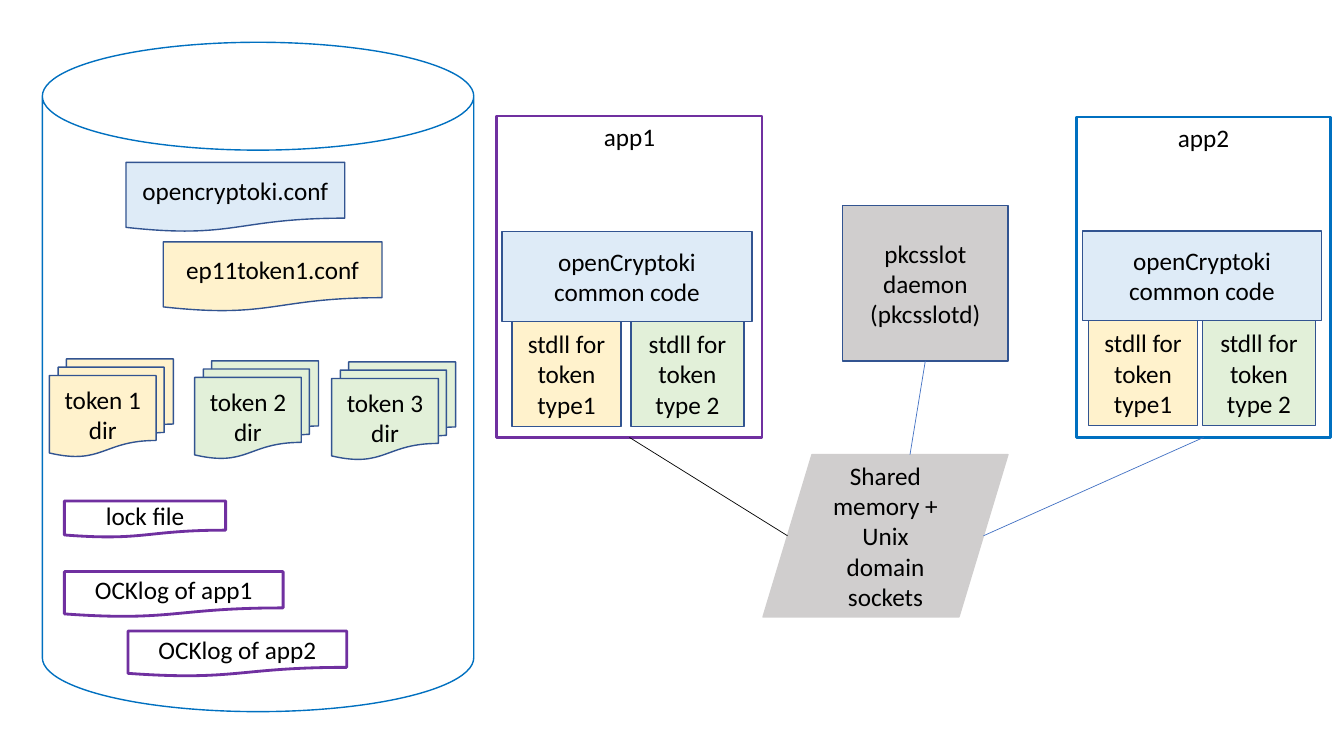
from lxml import etree
from pptx import Presentation
from pptx.dml.color import RGBColor
from pptx.enum.shapes import MSO_CONNECTOR, MSO_SHAPE
from pptx.enum.text import MSO_ANCHOR, PP_ALIGN
from pptx.oxml.ns import qn
from pptx.util import Pt

RECT = MSO_SHAPE.RECTANGLE
CAN = MSO_SHAPE.CAN
DOCUMENT = MSO_SHAPE.FLOWCHART_DOCUMENT
MULTIDOC = MSO_SHAPE.FLOWCHART_MULTIDOCUMENT
DATA = MSO_SHAPE.FLOWCHART_DATA
STRAIGHT = MSO_CONNECTOR.STRAIGHT
TOP, MIDDLE = MSO_ANCHOR.TOP, MSO_ANCHOR.MIDDLE
CENTER = PP_ALIGN.CENTER
BOTTOM_SITE = 2

BLACK = RGBColor(0x00, 0x00, 0x00)
WHITE = RGBColor(0xFF, 0xFF, 0xFF)
PURPLE = RGBColor(0x70, 0x30, 0xA0)
BLUE = RGBColor(0x00, 0x70, 0xC0)
NAVY = RGBColor(0x32, 0x54, 0x91)
LINK_BLUE = RGBColor(0x44, 0x72, 0xC4)
PALE_BLUE = RGBColor(0xDE, 0xEB, 0xF7)
YELLOW = RGBColor(0xFF, 0xF2, 0xCC)
GREEN = RGBColor(0xE2, 0xF0, 0xD9)
GRAY = RGBColor(0xD0, 0xCE, 0xCE)

# Content: places are (left, top, width, height) in points
DISK = (30.24, 30.24, 308.16, 478.08)
CONFIG_FILES = [
    ("opencryptoki.conf", 90, 116, PALE_BLUE),
    ("ep11token1.conf", 116.64, 172.8, YELLOW),
]
TOKEN_DIRS = [
    ("token 1 dir", 35.28, 256.4, YELLOW),
    ("token 2 dir", 139, 257.76, GREEN),
    ("token 3 dir", 236.88, 258.48, GREEN),
]
LOG_FILES = [
    ("lock file", (46, 357.84, 115.2, 26)),
    ("OCKlog of app1", (46, 408.24, 156.24, 32.4)),
    ("OCKlog of app2", (91.44, 450.72, 156.24, 32.4)),
]
# Each app: name, frame, frame colour, common code, lefts of the two stdlls
APPS = [
    ("app1", (354.96, 82.8, 189.36, 229.68), PURPLE,
     (358.56, 165.6, 178.56, 64), (365.76, 450.72)),
    ("app2", (768.96, 83.52, 181.44, 228.96), BLUE,
     (773.28, 165, 170.64, 64), (777.6, 858.96)),
]
COMMON_CODE = "openCryptoki common code"
STDLLS = [
    ("stdll for token type1", 77.76, YELLOW),
    ("stdll for token type 2", 80.64, GREEN),
]
STDLL_HEIGHT = 74.88
DAEMON = ("pkcsslot daemon\n(pkcsslotd)", (601.92, 146.88, 118.08, 110.88))
SHARED = ("Shared memory + Unix domain sockets", (545.04, 324.72, 174.96, 116))

deck = Presentation()
deck.slide_width, deck.slide_height = Pt(960), Pt(540)
slide = deck.slides.add_slide(deck.slide_layouts[6])


def add_box(text, place, kind=RECT, fill=None, line=NAVY, width=1, anchor=MIDDLE):
    box = slide.shapes.add_shape(kind, *(Pt(v) for v in place))
    box.shadow.inherit = False
    if fill is None:
        box.fill.background()
    else:
        box.fill.solid()
        box.fill.fore_color.rgb = fill
    box.line.color.rgb = line
    box.line.width = Pt(width)
    if text:
        frame = box.text_frame
        frame.word_wrap = True
        frame.vertical_anchor = anchor
        frame.text = text
        for paragraph in frame.paragraphs:
            paragraph.alignment = CENTER
            font = paragraph.runs[0].font
            font.name, font.size, font.color.rgb = "Calibri", Pt(18), BLACK
    return box


def link_from_bottom(source, end, color):
    link = slide.shapes.add_connector(STRAIGHT, 0, 0, Pt(end[0]), Pt(end[1]))
    link.begin_connect(source, BOTTOM_SITE)
    link.line.color.rgb = color
    link.line.width = Pt(0.5)
    etree.SubElement(link._element.spPr, qn("a:effectLst"))


# Disk with its files
add_box("", DISK, kind=CAN, fill=WHITE, line=BLUE)
for name, left, top, fill in CONFIG_FILES:
    add_box(name, (left, top, 156.24, 49.68), kind=DOCUMENT, fill=fill)
for name, left, top, fill in TOKEN_DIRS:
    add_box(name, (left, top, 88.56, 69.84), kind=MULTIDOC, fill=fill)
for name, place in LOG_FILES:
    add_box(name, place, kind=DOCUMENT, line=PURPLE, width=2)

# Applications: stdlls hang below the common code
app_frames = []
for name, place, color, common, stdll_lefts in APPS:
    app_frames.append(add_box(name, place, fill=WHITE, line=color, width=2, anchor=TOP))
    add_box(COMMON_CODE, common, fill=PALE_BLUE)
    stdll_top = common[1] + common[3]
    for (label, width, fill), left in zip(STDLLS, stdll_lefts):
        add_box(label, (left, stdll_top, width, STDLL_HEIGHT), fill=fill)

# Daemon and shared memory
daemon = add_box(*DAEMON, fill=GRAY)
add_box(*SHARED, kind=DATA, fill=GRAY, line=GRAY)

# Links end on the slanted sides and the top edge of the shared memory
left, top, width, height = SHARED[1]
middle = top + height / 2
link_from_bottom(app_frames[0], (left + 0.1 * width, middle), BLACK)
link_from_bottom(daemon, (left + 0.6 * width, top), LINK_BLUE)
link_from_bottom(app_frames[1], (left + 0.9 * width, middle), LINK_BLUE)

deck.save("out.pptx")
